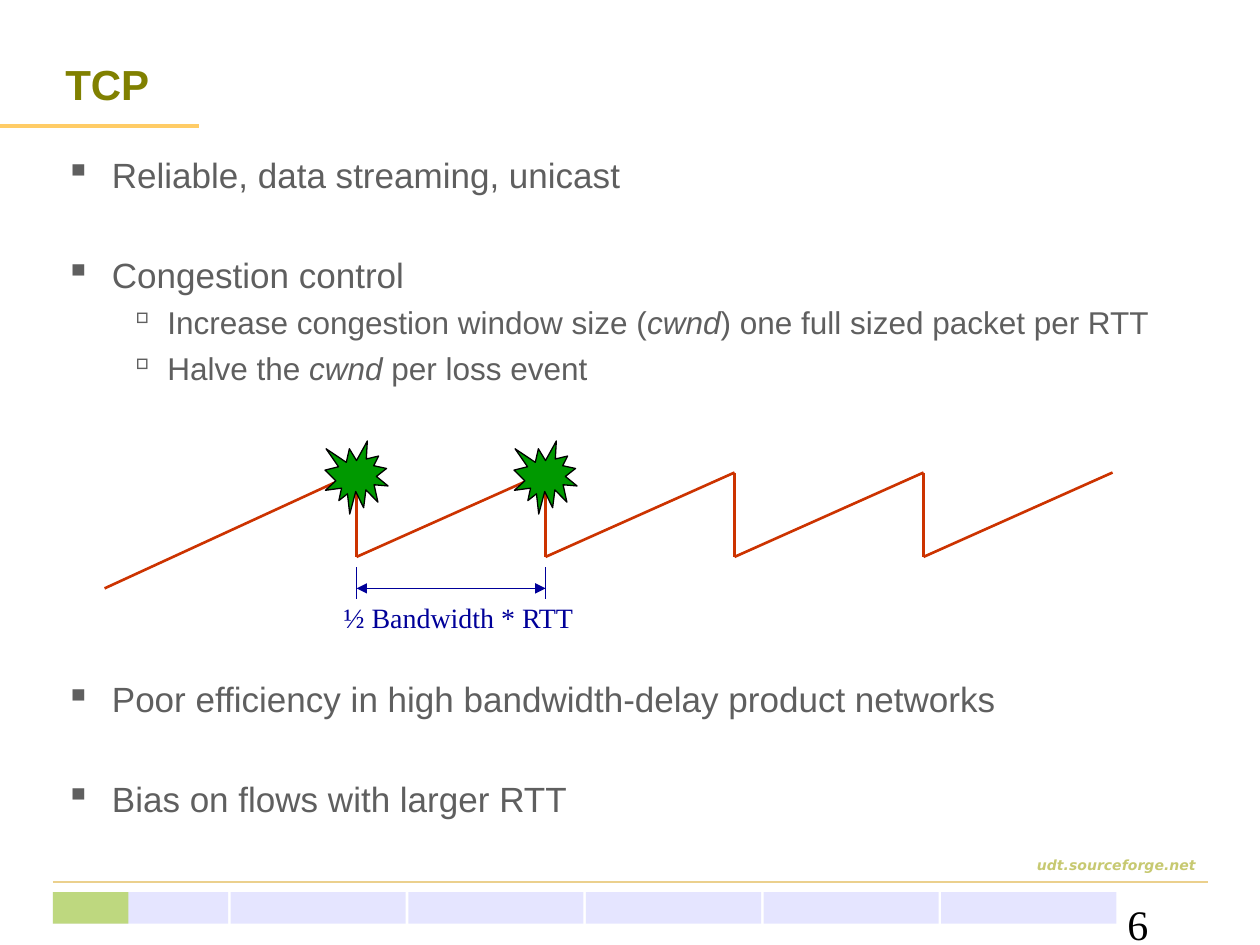
from dataclasses import dataclass
from itertools import pairwise

from lxml import etree
from pptx import Presentation
from pptx import util as u
from pptx.dml import color
from pptx.enum import shapes, text
from pptx.oxml import ns


@dataclass(frozen=True)
class Theme:
    sans: str = "Arial"
    serif: str = "Times New Roman"
    footer_font: str = "DejaVu Sans"
    title: str = "808000"
    body: str = "5F5F5F"
    footer: str = "C7C971"
    accent: str = "FFCC66"
    rule: str = "EBD08D"
    track: str = "CCCCFF"
    progress: str = "99CC00"
    window: str = "CC3300"
    loss: str = "009900"
    measure: str = "000099"
    ink: str = "000000"
    heading_size: int = 24
    body_size: int = 20
    detail_size: int = 18
    label_size: int = 16
    footer_size: int = 8


THEME = Theme()
LEVELS = (
    {"bullet": "▪", "size": THEME.body_size, "margin": 0.37, "hang": 0.37, "before": 5},
    {"bullet": "▫", "size": THEME.detail_size, "margin": 0.81, "hang": 0.31, "before": 4.5},
)
SECTION_GAP = 33


def add_child(parent, tag, **attributes):
    return etree.SubElement(parent, ns.qn(tag), attributes)


def set_font(font, size, name, tint, **format_values):
    values = {"size": u.Pt(size), "name": name, **format_values}
    for key, value in values.items():
        setattr(font, key, value)
    font.color.rgb = color.RGBColor.from_string(tint)


def add_box(page, area, wrap=True, anchor=text.MSO_ANCHOR.TOP):
    box = page.shapes.add_textbox(*map(u.Inches, area))
    frame = box.text_frame
    for key, value in {"word_wrap": wrap, "vertical_anchor": anchor}.items():
        setattr(frame, key, value)
    return frame


def add_label(page, area, wording, font, align=text.PP_ALIGN.LEFT, **frame_values):
    para = add_box(page, area, **frame_values).paragraphs[0]
    para.alignment = align
    span = para.add_run()
    span.text = wording
    set_font(span.font, **font)


def add_line(page, start, end, tint, width, arrows=False):
    line = page.shapes.add_connector(
        shapes.MSO_CONNECTOR.STRAIGHT, *map(u.Inches, (*start, *end)))
    line.line.color.rgb = color.RGBColor.from_string(tint)
    line.line.width = u.Pt(width)
    properties = line._element.spPr
    if arrows:
        for tag in ("a:headEnd", "a:tailEnd"):
            add_child(properties.find(ns.qn("a:ln")), tag, type="triangle")
    add_child(properties, "a:effectLst")


def add_filled(page, kind, area, tint, outline=None, opacity=100):
    shape = page.shapes.add_shape(kind, *map(u.Inches, area))
    shape.shadow.inherit = False
    shape.fill.solid()
    shape.fill.fore_color.rgb = color.RGBColor.from_string(tint)
    if opacity < 100:
        for node in shape._element.spPr.iter(ns.qn("a:srgbClr")):
            add_child(node, "a:alpha", val=str(opacity * 1000))
    if outline:
        shape.line.color.rgb = color.RGBColor.from_string(outline)
        shape.line.width = u.Pt(0.75)
    else:
        shape.line.fill.background()


def add_title(page, area, wording):
    left, top, width, height = area
    add_line(page, (0, 1), (1.58, 1), THEME.accent, 2.25)
    add_label(page, area, wording,
              {"size": THEME.heading_size, "name": THEME.sans, "tint": THEME.title, "bold": True},
              anchor=text.MSO_ANCHOR.MIDDLE)


def add_bullets(page, area, items):
    frame = add_box(page, area)
    for index, (level, new_section, parts) in enumerate(items):
        style = LEVELS[level]
        para = frame.add_paragraph() if index else frame.paragraphs[0]
        para.level = level
        if index:
            para.space_before = u.Pt(SECTION_GAP if new_section else style["before"])
        properties = para._p.get_or_add_pPr()
        properties.set("marL", str(u.Inches(style["margin"])))
        properties.set("indent", str(-u.Inches(style["hang"])))
        tint = add_child(properties, "a:buClr")
        add_child(tint, "a:srgbClr", val=THEME.body)
        add_child(properties, "a:buChar", char=style["bullet"])
        for position, part in enumerate(parts):
            span = para.add_run()
            span.text = part
            set_font(span.font, style["size"], THEME.sans, THEME.body, italic=position % 2 == 1)


def add_sawtooth(page, area):
    left, top, width, height = area
    period, bottom, drop = 1.5, top + height, 0.67
    peaks = [left + 2 + period * step for step in range(5)]
    add_line(page, (left, bottom), (peaks[0], top), THEME.window, 1.5)
    for peak, following in pairwise(peaks):
        add_line(page, (peak, top), (peak, top + drop), THEME.window, 1.5)
        add_line(page, (peak, top + drop), (following, top), THEME.window, 1.5)
    for peak in peaks[:2]:
        add_filled(page, shapes.MSO_SHAPE.EXPLOSION1, (peak - 0.25, top - 0.25, 0.5, 0.58),
                   THEME.loss, outline=THEME.ink)
        add_line(page, (peak, top + 0.75), (peak, top + 1), THEME.measure, 0.75)
    add_line(page, (peaks[0], bottom), (peaks[1], bottom), THEME.measure, 0.75, arrows=True)
    add_label(page, (peaks[0] - 0.2, bottom + 0.05, 2.03, 0.37), "½ Bandwidth * RTT",
              {"size": THEME.label_size, "name": THEME.serif, "tint": THEME.measure},
              wrap=False)


def add_footer(page, area, address, number):
    left, top, width, height = area
    rule_top, bar_top, pitch, bar_height = top + 0.25, top + 0.33, 1.41, 0.25
    add_line(page, (left, rule_top), (left + width, rule_top), THEME.rule, 1)
    add_label(page, (left, top, width, 0.25), address,
              {"size": THEME.footer_size, "name": THEME.footer_font, "tint": THEME.footer,
               "bold": True, "italic": True}, align=text.PP_ALIGN.RIGHT)
    bars = [(left + pitch * step, pitch - 0.02, THEME.track) for step in range(6)]
    for bar_left, bar_width, tint in bars + [(left, 0.6, THEME.progress)]:
        add_filled(page, shapes.MSO_SHAPE.RECTANGLE, (bar_left, bar_top, bar_width, bar_height),
                   tint, opacity=50)
    add_label(page, (8.85, bar_top, 0.74, 0.42), number,
              {"size": THEME.heading_size, "name": THEME.serif, "tint": THEME.ink})


def main():
    deck = Presentation()
    deck.slide_width, deck.slide_height = u.Inches(10), u.Inches(7.5)
    page = deck.slides.add_slide(deck.slide_layouts[6])
    left, width = 0.42, 9.17
    add_footer(page, (left, 6.75, width, 0.75), "udt.sourceforge.net", "6")
    add_title(page, (left, 0.25, width, 0.83), "TCP")
    add_bullets(page, (left, 1.17, width, 2.08), [
        (0, False, ["Reliable, data streaming, unicast"]),
        (0, True, ["Congestion control"]),
        (1, False, ["Increase congestion window size (", "cwnd",
                    ") one full sized packet per RTT"]),
        (1, False, ["Halve the ", "cwnd", " per loss event"]),
    ])
    add_sawtooth(page, (0.83, 3.75, 8, 0.92))
    add_bullets(page, (left, 5.33, width, 1.33), [
        (0, False, ["Poor efficiency in high bandwidth-delay product networks"]),
        (0, True, ["Bias on flows with larger RTT"]),
    ])
    deck.save("out.pptx")


if __name__ == "__main__":
    main()
